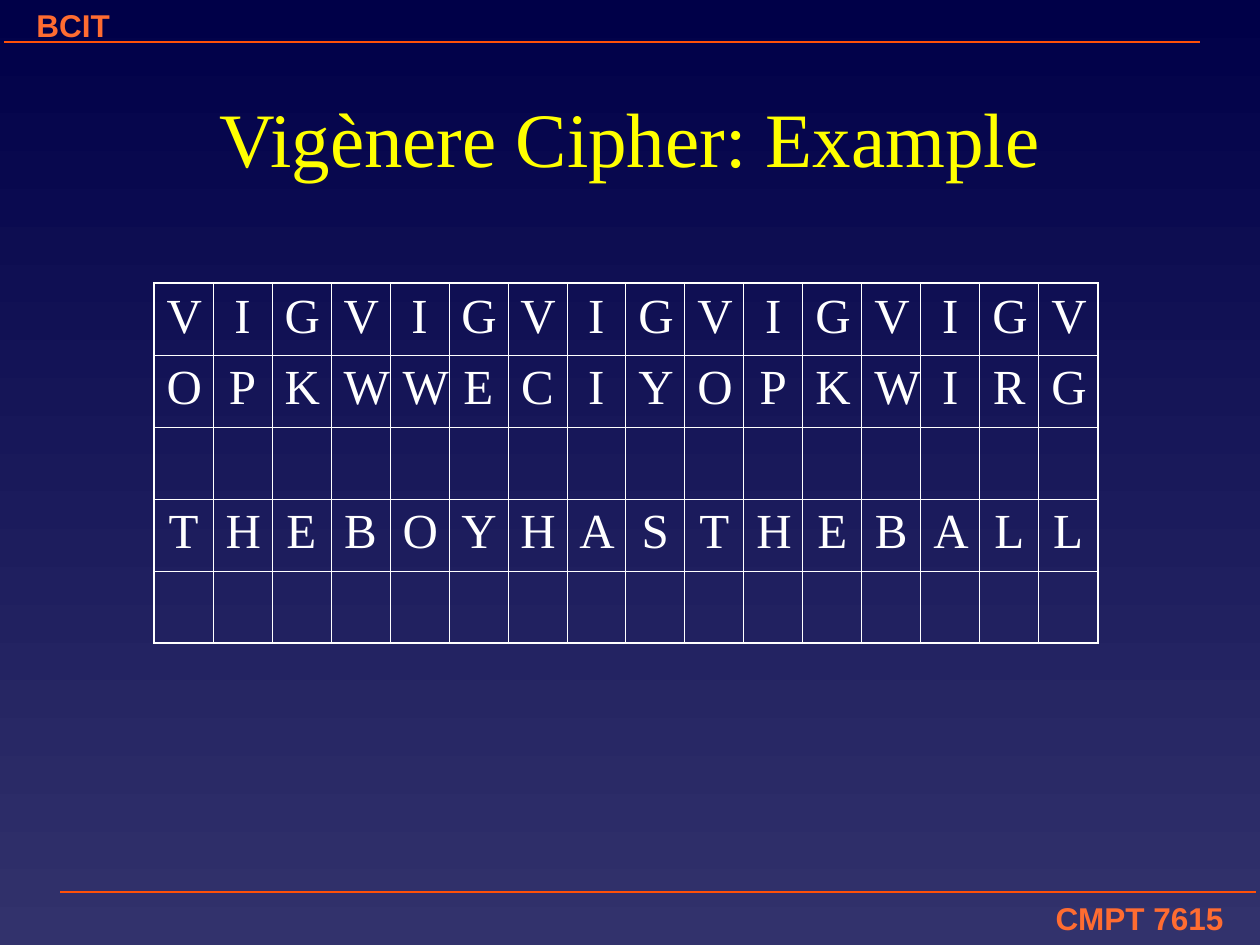
import dataclasses

import lxml.etree
import pptx
import pptx.dml.color
import pptx.enum.shapes
import pptx.enum.text
import pptx.oxml.ns
import pptx.util

EMU_PER_PX = 914400 / 126
ALIGN = pptx.enum.text.PP_ALIGN

# Plain letters, one row of the cipher table per string
CIPHER_ROWS = ["VIGVIGVIGVIGVIGV", "OPKWWECIYOPKWIRG", "", "THEBOYHASTHEBALL", ""]


@dataclasses.dataclass(frozen=True)
class Theme:
    sky_top: str = "000048"
    sky_bottom: str = "32326C"
    title: str = "FFFF00"
    letter: str = "FFFFFF"
    label: str = "FF6C31"
    rule: str = "FF5008"
    serif: str = "Times New Roman"
    sans: str = "Arial"
    title_size: int = 44
    letter_size: int = 28
    label_size: int = 18
    rule_width: float = 1
    inner_border: float = 0.45
    outer_border: float = 1.08


THEME = Theme()


def px(length):
    return pptx.util.Emu(round(length * EMU_PER_PX))


def rgb(colour):
    return pptx.dml.color.RGBColor.from_string(colour)


def write(frame, text, font, size, colour, align, bold=False):
    frame.text = text
    para = frame.paragraphs[0]
    para.alignment = align
    for span in para.runs:
        span.font.name = font
        span.font.size = pptx.util.Pt(size)
        span.font.color.rgb = rgb(colour)
        span.font.bold = bold


def paint_background(page):
    fill = page.background.fill
    fill.gradient()
    fill.gradient_angle = 270
    for stop, colour in zip(fill.gradient_stops, (THEME.sky_top, THEME.sky_bottom)):
        stop.color.rgb = rgb(colour)


def add_label(page, text, left, top, align):
    box = page.shapes.add_textbox(px(left), px(top), px(568), px(50))
    box.text_frame.word_wrap = True
    write(box.text_frame, text, THEME.sans, THEME.label_size, THEME.label, align, bold=True)


def add_rule(page, start, end, y):
    rule = page.shapes.add_connector(
        pptx.enum.shapes.MSO_CONNECTOR.STRAIGHT, px(start), px(y), px(end), px(y))
    rule.line.color.rgb = rgb(THEME.rule)
    rule.line.width = pptx.util.Pt(THEME.rule_width)
    lxml.etree.SubElement(rule._element.spPr, pptx.oxml.ns.qn("a:effectLst"))


def set_title(page, text):
    title = page.shapes.title
    title.left, title.top, title.width, title.height = px(154), px(53), px(952), px(168)
    title.text_frame.vertical_anchor = pptx.enum.text.MSO_ANCHOR.MIDDLE
    write(title.text_frame, text, THEME.serif, THEME.title_size, THEME.title, ALIGN.CENTER)


def set_borders(cell, outer_sides):
    properties = cell._tc.get_or_add_tcPr()
    for side in "LRTB":
        width = THEME.outer_border if side in outer_sides else THEME.inner_border
        line = lxml.etree.SubElement(
            properties, pptx.oxml.ns.qn("a:ln" + side), w=str(pptx.util.Pt(width)))
        fill = lxml.etree.SubElement(line, pptx.oxml.ns.qn("a:solidFill"))
        lxml.etree.SubElement(fill, pptx.oxml.ns.qn("a:srgbClr"), val=THEME.letter)


def add_cipher_table(page, rows, left, top, column_width, row_height):
    row_count, column_count = len(rows), len(rows[0])
    table = page.shapes.add_table(
        row_count, column_count, px(left), px(top),
        px(column_width * column_count), px(row_height * row_count)).table
    table.first_row = table.horz_banding = False
    for column in table.columns:
        column.width = px(column_width)
    for row_index, letters in enumerate(rows):
        table.rows[row_index].height = px(row_height)
        for column_index in range(column_count):
            cell = table.cell(row_index, column_index)
            edges = {"L": column_index == 0, "R": column_index == column_count - 1,
                     "T": row_index == 0, "B": row_index == row_count - 1}
            set_borders(cell, [side for side, is_edge in edges.items() if is_edge])
            cell.fill.background()
            if letters:
                write(cell.text_frame, letters[column_index], THEME.serif,
                      THEME.letter_size, THEME.letter, ALIGN.CENTER)


def main():
    deck = pptx.Presentation()
    deck.slide_width, deck.slide_height = px(1260), px(945)
    page = deck.slides.add_slide(deck.slide_layouts.get_by_name("Title Only"))
    paint_background(page)

    # Footer and header
    add_label(page, "CMPT 7615", 668, 893, ALIGN.RIGHT)
    add_rule(page, 1256, 60, 892)
    add_label(page, "BCIT", 24, 0, ALIGN.LEFT)
    add_rule(page, 1200, 4, 42)

    # Title and key / ciphertext / plaintext table
    set_title(page, "Vigènere Cipher: Example")
    add_cipher_table(page, CIPHER_ROWS, 154, 283, 59, 72)

    deck.save("out.pptx")


if __name__ == "__main__":
    main()
